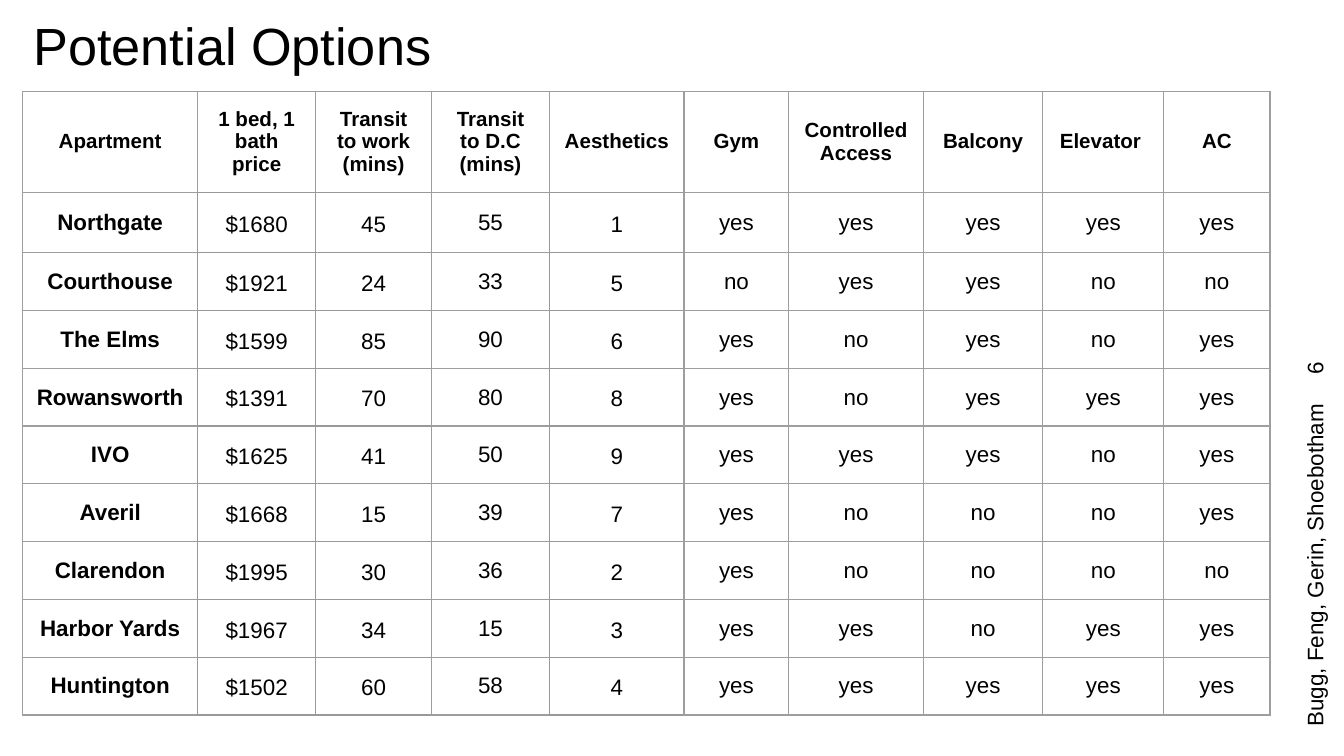
from lxml.etree import SubElement
from pptx import Presentation
from pptx.dml.color import RGBColor
from pptx.enum.text import MSO_ANCHOR as Anchor, MSO_AUTO_SIZE as AutoSize, PP_ALIGN as Align
from pptx.oxml.ns import qn
from pptx.util import Inches, Pt

BLACK = RGBColor(0x00, 0x00, 0x00)
WHITE = RGBColor(0xFF, 0xFF, 0xFF)
GREY = RGBColor(0x9E, 0x9E, 0x9E)
DARK_GREY = RGBColor(0x99, 0x99, 0x99)

COLUMN_WIDTHS = [1.3, 0.88, 0.86, 0.88, 1, 0.78, 1, 0.89, 0.9, 0.79]
ROW_HEIGHTS = [0.57, 0.45] + [0.43] * 8
COMPACT_COLUMNS = {1, 2, 4}

APARTMENTS = [
    ["Apartment", "1 bed, 1 bath price", "Transit to work (mins)", "Transit to D.C (mins)",
     "Aesthetics", "Gym", "Controlled Access", "Balcony", "Elevator ", "AC"],
    ["Northgate", "$1680", "45", "55", "1", "yes", "yes", "yes", "yes", "yes"],
    ["Courthouse", "$1921", "24", "33", "5", "no", "yes", "yes", "no", "no"],
    ["The Elms", "$1599", "85", "90", "6", "yes", "no", "yes", "no", "yes"],
    ["Rowansworth", "$1391", "70", "80", "8", "yes", "no", "yes", "yes", "yes"],
    ["IVO", "$1625", "41", "50", "9", "yes", "yes", "yes", "no", "yes"],
    ["Averil", "$1668", "15", "39", "7", "yes", "no", "no", "no", "yes"],
    ["Clarendon", "$1995", "30", "36", "2", "yes", "no", "no", "no", "no"],
    ["Harbor Yards", "$1967", "34", "15", "3", "yes", "yes", "no", "yes", "yes"],
    ["Huntington", "$1502", "60", "58", "4", "yes", "yes", "yes", "yes", "yes"],
]


def write(frame, text, size=12, bold=False, align=Align.LEFT, spacing=None):
    paragraph = frame.paragraphs[0]
    paragraph.alignment = align
    if spacing:
        paragraph.line_spacing = spacing
    run = paragraph.add_run()
    run.text = text
    run.font.name = "Arial"
    run.font.size = Pt(size)
    run.font.bold = bold
    run.font.color.rgb = BLACK
    return paragraph


def draw_borders(cell, color):
    properties = cell._tc.get_or_add_tcPr()
    for position, side in enumerate(("a:lnL", "a:lnR", "a:lnT", "a:lnB")):
        line = SubElement(properties, qn(side), w=str(Pt(0.75)))
        properties.insert(position, line)  # borders come before the fill
        fill = SubElement(line, qn("a:solidFill"))
        SubElement(fill, qn("a:srgbClr"), val=str(color))


presentation = Presentation()
presentation.slide_width = Inches(10)
presentation.slide_height = Inches(10 * 9 / 16)
slide = presentation.slides.add_slide(presentation.slide_layouts[5])

# Authors and page number, reading upwards along the right edge
footer = slide.shapes.add_textbox(Inches(8.26), Inches(3.89), Inches(3.04), Inches(0.43))
footer.rotation = 270
frame = footer.text_frame
frame.word_wrap = True
frame.vertical_anchor = Anchor.MIDDLE
frame.margin_left, frame.margin_right = Inches(0.22), Inches(0.05)
frame.margin_top = frame.margin_bottom = Inches(0.1)
paragraph = write(frame, "Bugg, Feng, Gerin, Shoebotham\t6")
tabs = SubElement(paragraph._p.get_or_add_pPr(), qn("a:tabLst"))
SubElement(tabs, qn("a:tab"), pos=str(Inches(2.62)), algn="l")

# Comparison table
table_frame = slide.shapes.add_table(
    len(ROW_HEIGHTS), len(COLUMN_WIDTHS), Inches(0.17), Inches(0.68), Inches(3.28), Inches(3.28))
table = table_frame.table
table.first_row = table.horz_banding = False
for column, width in zip(table.columns, COLUMN_WIDTHS):
    column.width = Inches(width)
for row, height in zip(table.rows, ROW_HEIGHTS):
    row.height = Inches(height)
# A small frame lets the header row grow only as far as its text needs
table_frame.width = table_frame.height = Inches(3.28)

for row_index, values in enumerate(APARTMENTS):
    for column_index, value in enumerate(values):
        cell = table.cell(row_index, column_index)
        header = row_index == 0
        compact = not header and column_index in COMPACT_COLUMNS
        cell.vertical_anchor = Anchor.MIDDLE
        cell.margin_left = cell.margin_right = Inches(0.03 if compact else 0.1)
        cell.margin_top = cell.margin_bottom = Inches(0.02 if compact else 0.1)
        if compact:
            cell.fill.solid()
            cell.fill.fore_color.rgb = WHITE
        else:
            cell.fill.background()
        draw_borders(cell, DARK_GREY if compact else GREY)
        write(cell.text_frame, value, size=11 if header else 12,
              bold=header or column_index == 0, align=Align.CENTER,
              spacing=1.15 if compact else None)

# Title
title = slide.shapes.title
title.left, title.top = Inches(0.15), Inches(0)
title.width, title.height = Inches(9.32), Inches(0.63)
frame = title.text_frame
frame.auto_size = AutoSize.NONE
frame.vertical_anchor = Anchor.TOP
frame.margin_left = frame.margin_right = frame.margin_top = frame.margin_bottom = Inches(0.1)
write(frame, "Potential Options", size=28)

presentation.save("out.pptx")
